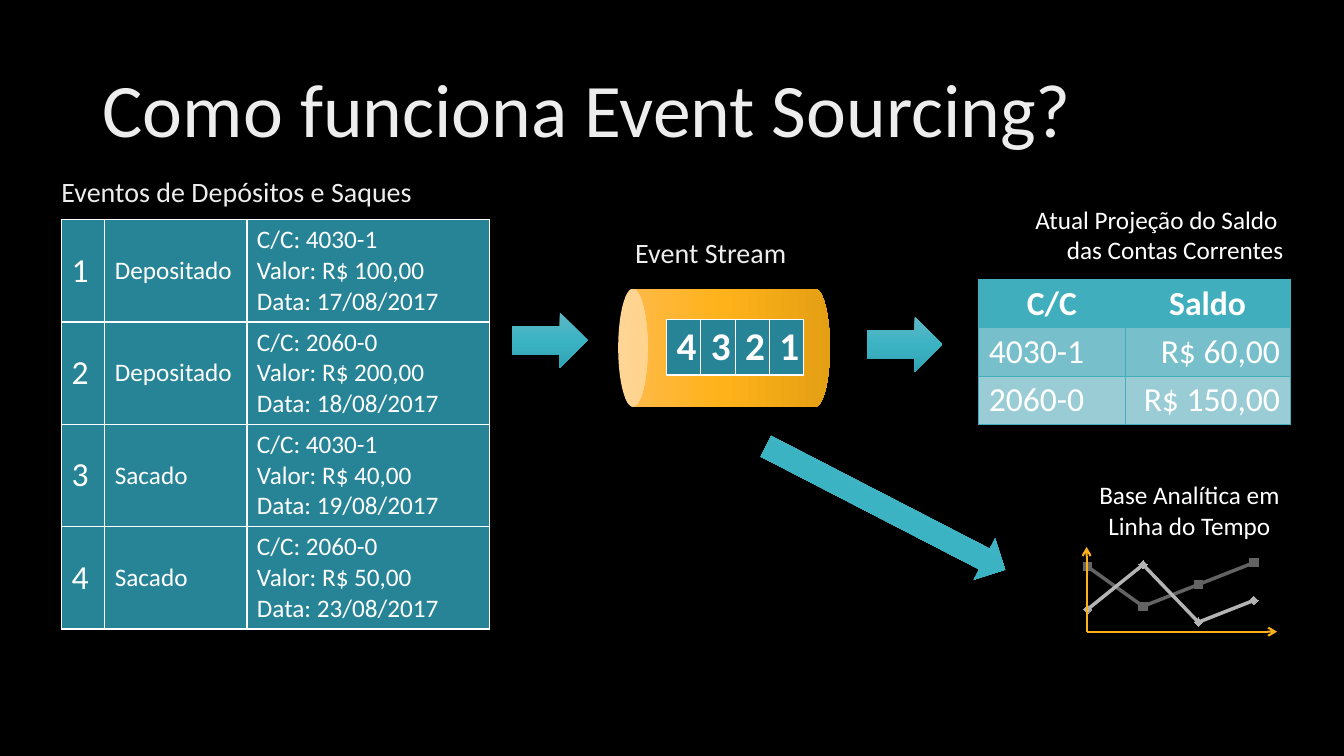
from copy import deepcopy
from dataclasses import dataclass

from lxml.etree import SubElement
from pptx import Presentation
from pptx.chart.data import CategoryChartData
from pptx.dml.color import RGBColor
from pptx.enum.chart import XL_CHART_TYPE, XL_MARKER_STYLE
from pptx.enum.shapes import MSO_CONNECTOR, MSO_SHAPE
from pptx.enum.text import MSO_ANCHOR, PP_ALIGN
from pptx.oxml import parse_xml
from pptx.oxml.ns import nsdecls, qn
from pptx.util import Inches, Pt

FONT = "Calibri"
CELL = Inches(1) / 3
COLUMNS, ROWS = 40, 22.5
BLACK = RGBColor(0x00, 0x00, 0x00)
WHITE = RGBColor(0xFF, 0xFF, 0xFF)
SILVER = RGBColor(0xED, 0xED, 0xED)
DEEP_TEAL = RGBColor(0x26, 0x84, 0x96)
TEAL = RGBColor(0x41, 0xAE, 0xBD)
TEAL_MID = RGBColor(0x77, 0xBF, 0xCB)
TEAL_PALE = RGBColor(0x9A, 0xCC, 0xD5)
ARROW_TEALS = (RGBColor(0x5F, 0xB7, 0xC5), RGBColor(0x3B, 0xB3, 0xC3), RGBColor(0x2F, 0xA3, 0xB3))
STREAM_GOLDS = (RGBColor(0xFF, 0xBA, 0x4F), RGBColor(0xFF, 0xB2, 0x19), RGBColor(0xE5, 0x9F, 0x14))
AXIS_GOLD = RGBColor(0xFC, 0xB1, 0x1C)
DARK_GREY = RGBColor(0x63, 0x63, 0x63)
LIGHT_GREY = RGBColor(0xB4, 0xB4, 0xB4)


@dataclass
class Box:
    """A rectangle counted in grid columns and rows."""
    col: float
    row: float
    cols: float
    rows: float

    def inner(self, col, row, cols, rows):
        """Return a box offset from this one's corner."""
        return Box(self.col + col, self.row + row, cols, rows)

    def emu(self):
        """Return left, top, width and height as lengths."""
        return [round(CELL * n) for n in (self.col, self.row, self.cols, self.rows)]


def style(frame, size, color, align=None, bold=False, spacing=None):
    """Format every paragraph of a text frame alike."""
    for paragraph in frame.paragraphs:
        paragraph.font.name, paragraph.font.size = FONT, Pt(size)
        paragraph.font.bold, paragraph.font.color.rgb = bold, color
        paragraph.alignment, paragraph.line_spacing = align, spacing


def label(slide, box, text, size, color=WHITE, align=None, anchor=MSO_ANCHOR.TOP, spacing=None, wrap=True):
    """Add a text box."""
    frame = slide.shapes.add_textbox(*box.emu()).text_frame
    frame.text, frame.word_wrap, frame.vertical_anchor = text, wrap, anchor
    style(frame, size, color, align, spacing=spacing)


def heading(slide, box, text, size):
    """Add a silver heading centred vertically in its box."""
    label(slide, box, text, size, SILVER, anchor=MSO_ANCHOR.MIDDLE, spacing=0.9)


def solid_shape(slide, kind, box, colors, rotation=0):
    """Add a borderless preset shape with a three-stop gradient."""
    shape = slide.shapes.add_shape(kind, *box.emu())
    shape.rotation, shape.shadow.inherit = rotation, False
    shape.line.fill.background()
    shape.fill.gradient()
    shape.fill.gradient_angle = 270
    stops = shape.fill._xPr.find(qn("a:gradFill")).find(qn("a:gsLst"))
    stops.append(deepcopy(stops[-1]))
    for stop, position, color in zip(shape.fill.gradient_stops, (0, 0.5, 1), colors):
        stop.position, stop.color.rgb = position, color


def flow_arrow(slide, box, rotation=0):
    """Add a block arrow that fills its box."""
    solid_shape(slide, MSO_SHAPE.RIGHT_ARROW, box, ARROW_TEALS, rotation)


def grid_table(slide, box, widths, row_count):
    """Add an unbanded table with equal rows and proportional columns."""
    table = slide.shapes.add_table(row_count, len(widths), *box.emu()).table
    table.first_row = table.horz_banding = False
    for column, width in zip(table.columns, widths):
        column.width = round(CELL * box.cols * width / sum(widths))
    return table


def fill_cell(cell, text, size, fill, border, line_width, align=None, bold=False, inset=0.04):
    """Write, colour and outline one table cell."""
    cell.text_frame.text = text
    style(cell.text_frame, size, WHITE, align, bold)
    cell.margin_top = cell.margin_bottom = Inches(inset)
    cell.fill.solid()
    cell.fill.fore_color.rgb = fill
    for index, side in enumerate("LRTB"):
        cell._tc.tcPr.insert(index, parse_xml(
            f'<a:ln{side} {nsdecls("a")} w="{Pt(line_width)}"><a:solidFill>'
            f'<a:srgbClr val="{border}"/></a:solidFill></a:ln{side}>'))


def events_region(slide, box):
    """Place the list of deposit and withdrawal events."""
    heading(slide, box.inner(0, 0, 13.17, 2.64), "Eventos de Depósitos e Saques", 20)
    events = [("Depositado", "4030-1", "100,00", "17"), ("Depositado", "2060-0", "200,00", "18"),
              ("Sacado", "4030-1", "40,00", "19"), ("Sacado", "2060-0", "50,00", "23")]
    table = grid_table(slide, box.inner(0.3, 2.1, 12.75, 12.18), (0.43, 1.41, 2.41), len(events))
    for row, (kind, account, amount, day) in enumerate(events):
        details = f"C/C: {account} \vValor: R$ {amount}\nData: {day}/08/2017"
        for col, (text, size) in enumerate([(str(row + 1), 24), (kind, 18), (details, 18)]):
            cell = table.cell(row, col)
            fill_cell(cell, text, size, DEEP_TEAL, WHITE, 1, inset=0.05)
            cell.vertical_anchor = MSO_ANCHOR.TOP if col == 2 else MSO_ANCHOR.MIDDLE


def stream_region(slide, box):
    """Place the event stream cylinder and its queue."""
    heading(slide, box.inner(0.21, 0, 5.34, 2.64), "Event Stream", 20)
    length, thickness, middle = box.cols, 3.51, 4.11
    cylinder = box.inner((length - thickness) / 2, middle - length / 2, thickness, length)
    solid_shape(slide, MSO_SHAPE.CAN, cylinder, STREAM_GOLDS, 270)
    queue = grid_table(slide, box.inner(1.44, 3.27, 4.08, 1.65), (1, 1, 1, 1), 1)
    for col, number in enumerate("4321"):
        fill_cell(queue.cell(0, col), number, 28, DEEP_TEAL, WHITE, 1, bold=True)


def projection_region(slide, box):
    """Place the current balance of the accounts."""
    label(slide, box.inner(0, 0, box.cols, 2.13), "Atual Projeção do Saldo \vdas Contas Correntes", 18,
          align=PP_ALIGN.RIGHT)
    balances = [("C/C", "Saldo"), ("4030-1", "R$ 60,00"), ("2060-0", "R$ 150,00")]
    table = grid_table(slide, box.inner(0.72, 2.37, 9.27, 4.32), (1.45, 1.64), len(balances))
    for row, (texts, fill) in enumerate(zip(balances, (TEAL, TEAL_MID, TEAL_PALE))):
        aligns = (PP_ALIGN.LEFT, PP_ALIGN.RIGHT) if row else (PP_ALIGN.CENTER,) * 2
        for col, (text, align) in enumerate(zip(texts, aligns)):
            fill_cell(table.cell(row, col), text, 24, fill, TEAL, 0.5, align, bold=row == 0)


def timeline_chart(slide, box):
    """Add the two-line chart without visible axes."""
    data = CategoryChartData()
    data.categories = ["1", "2", "3", "4"]
    data.add_series("Series 1", (96, 56, 78, 100))
    data.add_series("Series 2", (53, 98, 40, 62))
    chart = slide.shapes.add_chart(XL_CHART_TYPE.LINE_MARKERS, *box.emu(), data).chart
    chart.has_legend = chart.has_title = False
    chart.font.name, chart.font.size, chart.font.color.rgb = FONT, Pt(18), WHITE
    chart.category_axis.visible = chart.value_axis.visible = False
    chart.value_axis.has_major_gridlines = False
    chart.value_axis.minimum_scale, chart.value_axis.maximum_scale = 0, 110
    plot = chart.plots[0]
    plot.vary_by_categories = False
    looks = [(DARK_GREY, XL_MARKER_STYLE.SQUARE), (LIGHT_GREY, XL_MARKER_STYLE.DIAMOND)]
    for series, (color, marker) in zip(plot.series, looks):
        series.smooth = False
        series.format.line.color.rgb, series.format.line.width = color, Pt(2.5)
        series.marker.style, series.marker.size = marker, 6
        series.marker.format.fill.solid()
        series.marker.format.fill.fore_color.rgb = color
        series.marker.format.line.color.rgb = color
    area = chart._chartSpace.chart.plotArea
    for layout in area.findall(qn("c:layout")):
        area.remove(layout)
    area.insert(0, parse_xml(
        f'<c:layout {nsdecls("c")}><c:manualLayout><c:layoutTarget val="inner"/>'
        '<c:xMode val="edge"/><c:yMode val="edge"/><c:x val="0.02"/><c:y val="0.03"/>'
        '<c:w val="0.96"/><c:h val="0.95"/></c:manualLayout></c:layout>'))


def analytics_region(slide, box):
    """Place the analytical timeline with its axis arrows."""
    timeline_chart(slide, box.inner(0, 2.22, 6.87, 3.42))
    label(slide, box.inner(0.93, 0, 6.12, 2.13), "Base Analítica em\vLinha do Tempo", 18,
          align=PP_ALIGN.CENTER, wrap=False)
    for cols, rows in ((5.67, 0), (0, -2.52)):
        left, top, width, height = box.inner(0.93, 4.67, cols, rows).emu()
        axis = slide.shapes.add_connector(MSO_CONNECTOR.STRAIGHT, left, top, left + width, top + height)
        axis.line.color.rgb, axis.line.width = AXIS_GOLD, Pt(1.5)
        SubElement(axis.line._get_or_add_ln(), qn("a:tailEnd"), type="arrow")
        SubElement(axis._element.spPr, qn("a:effectLst"))


def event_sourcing_slide(presentation):
    """Build the slide that explains event sourcing."""
    slide = presentation.slides.add_slide(presentation.slide_layouts[6])
    slide.background.fill.solid()
    slide.background.fill.fore_color.rgb = BLACK
    heading(slide, Box(2.76, 1.2, 34.5, 4.35), "Como funciona Event Sourcing?", 54)
    events_region(slide, Box(1.53, 4.44, 13.05, 14.28))
    flow_arrow(slide, Box(15.24, 9.3, 2.25, 1.65))
    stream_region(slide, Box(18.4, 6.24, 6.3, 5.85))
    flow_arrow(slide, Box(25.8, 9.42, 2.25, 1.65))
    projection_region(slide, Box(28.41, 5.94, 10.08, 6.69))
    flow_arrow(slide, Box(22.35, 14.43, 8.01, 1.38), 27.3)
    analytics_region(slide, Box(31.41, 14.13, 7.05, 5.64))


deck = Presentation()
deck.slide_width, deck.slide_height = round(CELL * COLUMNS), round(CELL * ROWS)
event_sourcing_slide(deck)
deck.save("out.pptx")
